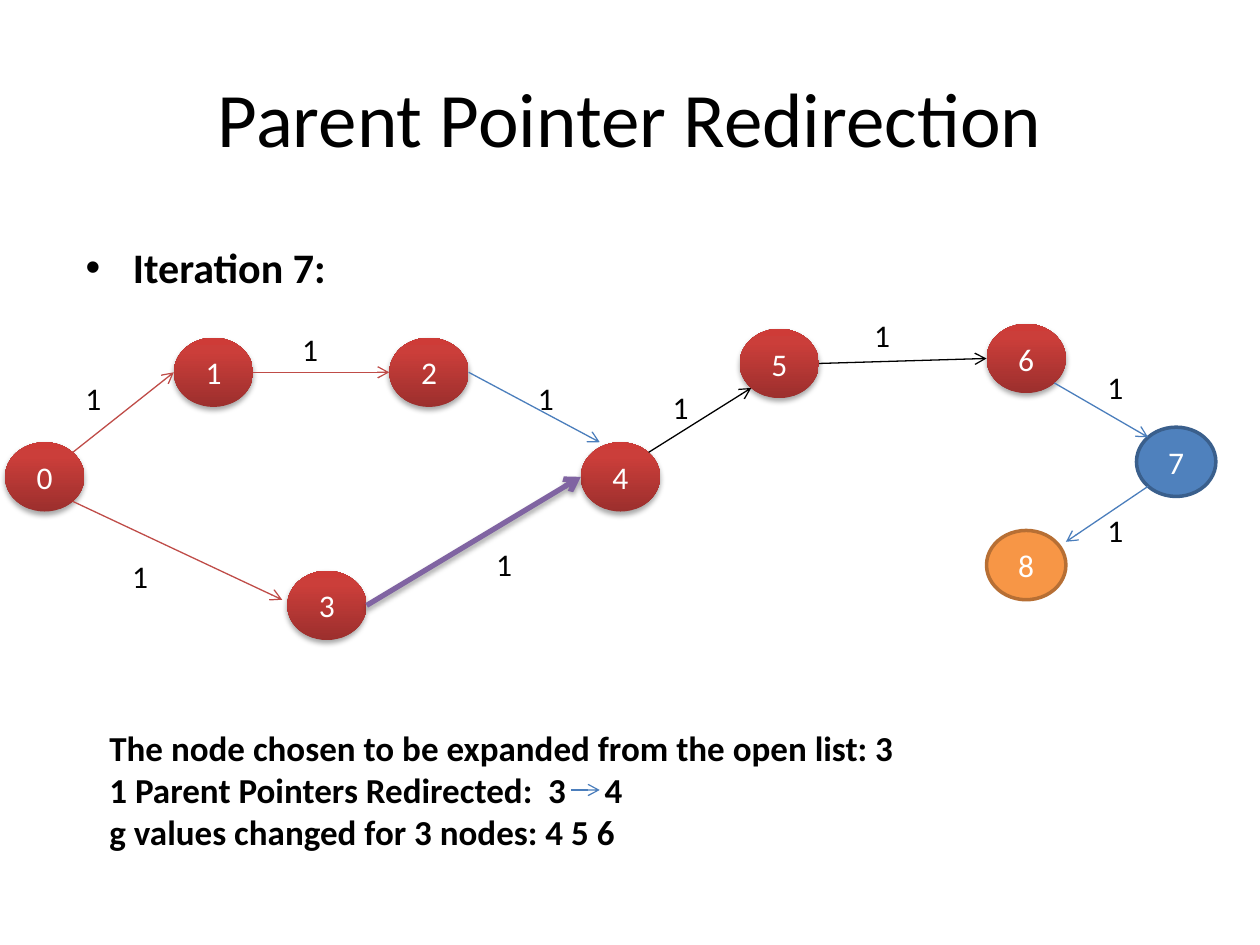
from copy import deepcopy
from math import sqrt

from pptx import Presentation
from pptx.dml.color import RGBColor
from pptx.enum.shapes import MSO_CONNECTOR as Connector, MSO_SHAPE as Shape
from pptx.enum.text import MSO_ANCHOR as Anchor, PP_ALIGN as Align
from pptx.oxml.ns import qn
from pptx.oxml.xmlchemy import OxmlElement
from pptx.util import Inches, Pt

BLACK, WHITE = "000000", "FFFFFF"
RED, BLUE, PURPLE = "BF4C48", "4B7EBC", "8064A2"
GLOSSY_RED = [(0, "9C2F2D"), (0.8, "CB3E3A"), (1, "CE3B37")]
NODE_WIDTH, NODE_HEIGHT = 0.63, 0.55


def color(value):
    """Turn a hex string into a colour."""
    return RGBColor.from_string(value)


def add_child(parent, tag, **attributes):
    """Append an XML child with the given attributes."""
    child = OxmlElement(tag)
    for name, value in attributes.items():
        child.set(name, str(value))
    parent.append(child)
    return child


def site(corner, side):
    """Return a point on a node's rim; side is a pair of -1, 0 or 1."""
    reach = 1 / sqrt(2) if all(side) else 1
    return (corner[0] + NODE_WIDTH / 2 * (1 + side[0] * reach),
            corner[1] + NODE_HEIGHT / 2 * (1 + side[1] * reach))


class GraphSlide:
    """Holds the style and the page, and draws the elements of the graph."""

    def __init__(self, page, font="Calibri"):
        self.page = page
        self.font = font

    def style(self, frame, size, hue, bold=False, align=None):
        """Format every paragraph of a text frame."""
        for para in frame.paragraphs:
            para.font.name, para.font.size = self.font, Pt(size)
            para.font.bold, para.font.color.rgb = bold, color(hue)
            para.alignment = align
            para.space_before = Pt(0)

    def placeholder(self, index, text, area, size, **options):
        """Fill, place and format a template placeholder."""
        box = self.page.placeholders[index]
        box.left, box.top, box.width, box.height = map(Inches, area)
        box.text_frame.text = text
        self.style(box.text_frame, size, BLACK, **options)

    def text(self, text, area, size=18, bold=False):
        """Add a text box and return its frame."""
        frame = self.page.shapes.add_textbox(*map(Inches, area)).text_frame
        frame.word_wrap = True
        frame.text = text
        self.style(frame, size, BLACK, bold)
        return frame

    def shadow(self, effects):
        """Add a soft shadow below to an effect list."""
        outer = add_child(effects, "a:outerShdw", blurRad=Pt(3.1), dist=Pt(1.8),
                          dir=5400000, rotWithShape=0)
        black = add_child(outer, "a:srgbClr", val=BLACK)
        add_child(black, "a:alpha", val=35000)

    def node(self, name, corner, fill=None, line=None):
        """Add a numbered oval: glossy red, or flat with an outline."""
        oval = self.page.shapes.add_shape(
            Shape.OVAL, *map(Inches, (*corner, NODE_WIDTH, NODE_HEIGHT)))
        if fill:
            oval.fill.solid()
            oval.fill.fore_color.rgb = color(fill)
            oval.line.color.rgb, oval.line.width = color(line), Pt(2)
        else:
            oval.fill.gradient()
            oval.fill.gradient_angle = 90
            first = oval.element.spPr.find(".//" + qn("a:gs"))
            first.addnext(deepcopy(first))
            for stop, (position, hue) in zip(oval.fill.gradient_stops, GLOSSY_RED):
                stop.position, stop.color.rgb = position, color(hue)
            oval.line.fill.background()
        oval.shadow.inherit = False
        if not fill:
            self.shadow(oval.element.spPr.find(qn("a:effectLst")))
        oval.text_frame.text = name
        oval.text_frame.vertical_anchor = Anchor.MIDDLE
        self.style(oval.text_frame, 18, WHITE, align=Align.CENTER)

    def arrow(self, start, end, hue, width=0.75, shadow=False):
        """Add a straight line with an open arrowhead."""
        line = self.page.shapes.add_connector(
            Connector.STRAIGHT, *map(Inches, (*start, *end)))
        line.line.color.rgb, line.line.width = color(hue), Pt(width)
        add_child(line.line._get_or_add_ln(), "a:tailEnd", type="arrow")
        effects = add_child(line._element.spPr, "a:effectLst")
        if shadow:
            self.shadow(effects)


deck = Presentation()
deck.slide_width, deck.slide_height = Inches(10), Inches(7.5)
graph = GraphSlide(deck.slides.add_slide(deck.slide_layouts[1]))
graph.placeholder(0, "Parent Pointer Redirection", (0.5, 0.3, 9, 1.25), 44,
                  align=Align.CENTER)
graph.placeholder(1, "Iteration 7:", (0.58, 1.87, 5.75, 0.5), 24, bold=True)

nodes = {"0": (0.04, 3.51), "1": (1.38, 2.68), "2": (3.09, 2.68),
         "3": (2.28, 4.53), "4": (4.61, 3.51), "5": (5.87, 2.61),
         "6": (7.83, 2.57), "7": (9.02, 3.39), "8": (7.83, 4.21)}
flat_nodes = {"7": ("4F81BD", "3A5F8C"), "8": ("F79646", "B76F34")}
for name, corner in nodes.items():
    graph.node(name, corner, *flat_nodes.get(name, ()))

LEFT, RIGHT = (-1, 0), (1, 0)
TOP_LEFT, TOP_RIGHT = (-1, -1), (1, -1)
BOTTOM_LEFT, BOTTOM_RIGHT = (-1, 1), (1, 1)
edges = [
    ("0", TOP_RIGHT, site(nodes["1"], LEFT), RED),
    ("1", RIGHT, site(nodes["2"], LEFT), RED),
    ("2", RIGHT, (4.76, 3.51), BLUE),
    ("0", BOTTOM_RIGHT, (2.24, 4.76), RED),
    ("3", RIGHT, site(nodes["4"], LEFT), PURPLE, 3, True),
    ("4", TOP_RIGHT, site(nodes["5"], BOTTOM_LEFT), BLACK),
    ("5", RIGHT, site(nodes["6"], LEFT), BLACK),
    ("6", BOTTOM_RIGHT, site(nodes["7"], TOP_LEFT), BLUE),
    ("7", BOTTOM_LEFT, (8.46, 4.3), BLUE),
]
for name, side, end, *look in edges:
    graph.arrow(site(nodes[name], side), end, *look)

costs = [(0.58, 2.96), (2.3, 2.57), (4.17, 2.96), (0.95, 4.37), (3.84, 4.28),
         (5.24, 3.03), (6.84, 2.46), (8.69, 2.87), (8.69, 4.01)]
for corner in costs:
    graph.text("1", (*corner, 0.4, 0.4))

summary = graph.text(
    "The node chosen to be expanded from the open list: 3\n"
    "1 Parent Pointers Redirected:  3\t4\n"
    "g values changed for 3 nodes: 4 5 6", (0.77, 5.72, 7.7, 1.11), 20, bold=True)
tabs = add_child(summary.paragraphs[1]._p.get_or_add_pPr(), "a:tabLst")
add_child(tabs, "a:tab", pos=Inches(3.93), algn="l")
graph.arrow((4.53, 6.27), (4.76, 6.27), BLUE)

deck.save("out.pptx")
